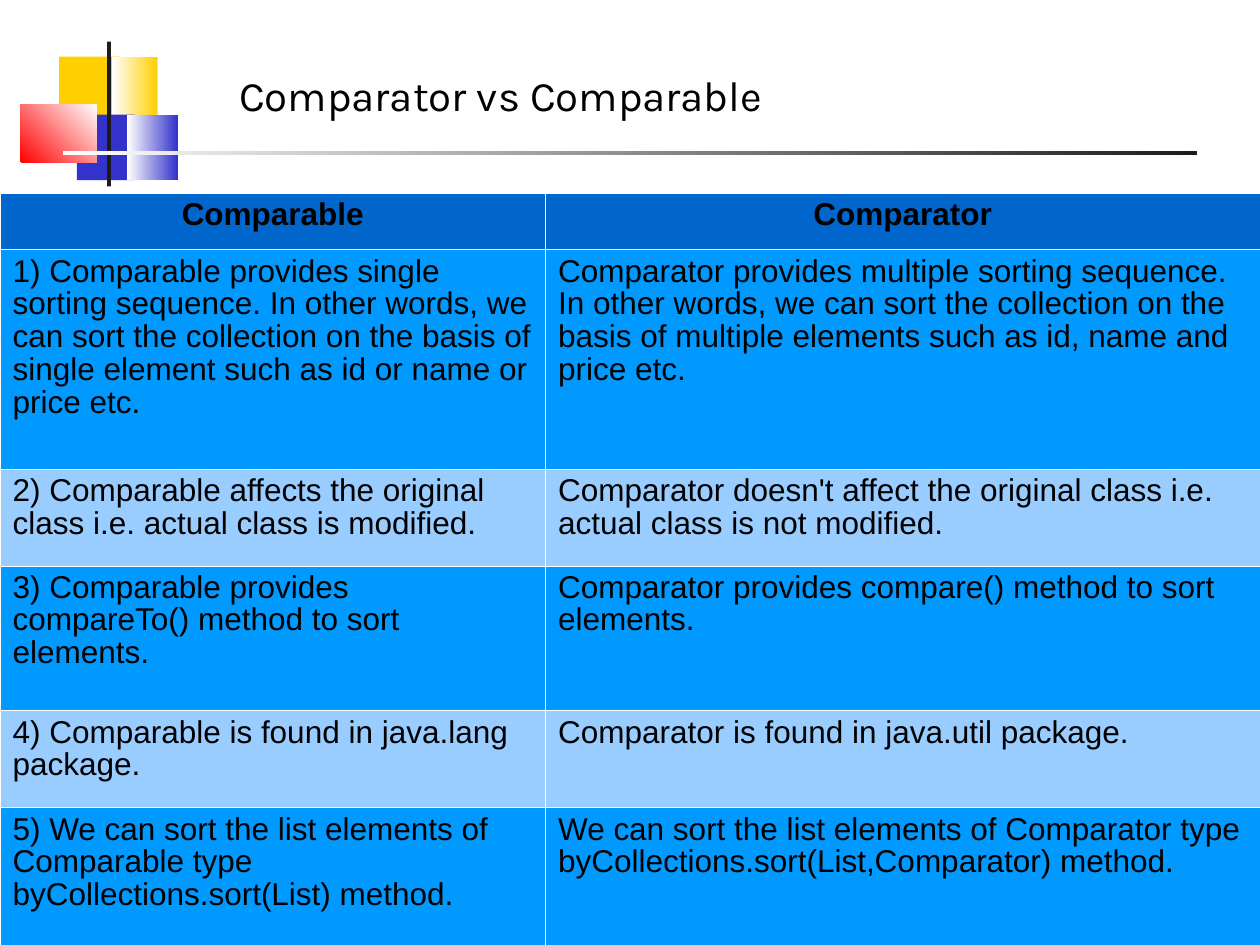
from dataclasses import dataclass
from lxml import etree
from pptx import Presentation, util as u
from pptx.dml.color import RGBColor
from pptx.enum import shapes, text
from pptx.oxml import ns

COLORS = {
    "white": "FFFFFF",
    "black": "000000",
    "ink": "1C1C1C",
    "yellow": "FFCF01",
    "indigo": "3333CC",
    "red": "FF0000",
    "header": "0066CC",
    "odd": "0099FF",
    "even": "99CCFF",
}
COLUMN_WIDTHS = (311.76, 408.24)
BORDER_WIDTH = 0.06


@dataclass(frozen=True)
class Block:
    left: float
    top: float
    width: float
    height: float
    color: str
    end: str = ""
    angle: float = 0


@dataclass(frozen=True)
class Row:
    height: float
    fill: str
    comparable: str
    comparator: str


BLOCKS = (
    Block(33.84, 32.4, 34.56, 37.44, "yellow"),
    Block(64.08, 32.4, 25.92, 37.44, "white", "yellow"),
    Block(43.92, 65.52, 33.12, 37.44, "indigo"),
    Block(72.72, 65.52, 28.8, 37.44, "white", "indigo"),
    Block(11.52, 59.76, 43.92, 33.12, "red", "white", 45),
    Block(61.2, 23.76, 2.16, 82.8, "ink"),
    Block(36, 86.4, 648, 2.16, "white", "ink"),
)

ROWS = (
    Row(32.4, "header", "Comparable", "Comparator"),
    Row(125.28, "odd",
        "1) Comparable provides single sorting sequence. In other words, we can sort "
        "the collection on the basis of single element such as id or name or price etc.",
        "Comparator provides multiple sorting sequence. In other words, we can sort "
        "the collection on the basis of multiple elements such as id, name and price etc."),
    Row(55.44, "even",
        "2) Comparable affects the original class i.e. actual class is modified.",
        "Comparator doesn't affect the original class i.e. actual class is not modified."),
    Row(82.8, "odd",
        "3) Comparable provides compareTo() method to sort elements.",
        "Comparator provides compare() method to sort elements."),
    Row(55.44, "even",
        "4) Comparable is found in java.lang package.",
        "Comparator is found in java.util package."),
    Row(78.48, "odd",
        "5) We can sort the list elements of Comparable type "
        "byCollections.sort(List) method.",
        "We can sort the list elements of Comparator type "
        "byCollections.sort(List,Comparator) method."),
)


def rgb(name: str) -> RGBColor:
    return RGBColor.from_string(COLORS[name])


def write(tf, content: str, *, size: float, font: str, bold: bool = False,
          align=text.PP_ALIGN.LEFT, spacing: float = 1.0) -> None:
    p = tf.paragraphs[0]
    p.alignment = align
    p.line_spacing = spacing
    r = p.add_run()
    r.text = content
    r.font.size = u.Pt(size)
    r.font.name = font
    r.font.bold = bold
    r.font.color.rgb = rgb("black")


def draw_block(s, block: Block) -> None:
    sp = s.shapes.add_shape(
        shapes.MSO_SHAPE.RECTANGLE, u.Pt(block.left), u.Pt(block.top),
        u.Pt(block.width), u.Pt(block.height))
    sp.shadow.inherit = False
    sp.line.fill.background()
    if block.end:
        sp.fill.gradient()
        sp.fill.gradient_angle = block.angle
        for stop, name in zip(sp.fill.gradient_stops, (block.color, block.end)):
            stop.color.rgb = rgb(name)
    else:
        sp.fill.solid()
        sp.fill.fore_color.rgb = rgb(block.color)


def draw_borders(cell) -> None:
    tc_pr = cell._tc.get_or_add_tcPr()
    for i, side in enumerate(("a:lnL", "a:lnR", "a:lnT", "a:lnB")):
        ln = etree.Element(ns.qn(side), w=str(u.Pt(BORDER_WIDTH)))
        fill = etree.SubElement(ln, ns.qn("a:solidFill"))
        etree.SubElement(fill, ns.qn("a:srgbClr"), val=COLORS["white"])
        tc_pr.insert(i, ln)


def draw_title(s, content: str) -> None:
    sp = s.shapes.add_textbox(u.Pt(129.6), u.Pt(36), u.Pt(540), u.Pt(36))
    tf = sp.text_frame
    tf.word_wrap = True
    write(tf, content, size=24, font="Karla")


def draw_table(s, rows: tuple[Row, ...]) -> None:
    frame = s.shapes.add_table(
        len(rows), len(COLUMN_WIDTHS), u.Pt(0), u.Pt(110.16),
        u.Pt(sum(COLUMN_WIDTHS)), u.Pt(sum(row.height for row in rows)))
    table = frame.table
    table.first_row = False
    table.horz_banding = False
    for column, width in zip(table.columns, COLUMN_WIDTHS):
        column.width = u.Pt(width)
    for i, row in enumerate(rows):
        table.rows[i].height = u.Pt(row.height)
        header = row.fill == "header"
        align = text.PP_ALIGN.CENTER if header else text.PP_ALIGN.LEFT
        for j, content in enumerate((row.comparable, row.comparator)):
            cell = table.cell(i, j)
            cell.fill.solid()
            cell.fill.fore_color.rgb = rgb(row.fill)
            draw_borders(cell)
            write(cell.text_frame, content, size=18, font="Arial",
                  bold=header, align=align, spacing=0.93)


def main() -> None:
    prs = Presentation()
    prs.slide_width, prs.slide_height = u.Pt(720), u.Pt(540)
    s = prs.slides.add_slide(prs.slide_layouts[6])
    for block in BLOCKS:
        draw_block(s, block)
    draw_title(s, "Comparator vs Comparable")
    draw_table(s, ROWS)
    prs.save("out.pptx")


if __name__ == "__main__":
    main()
